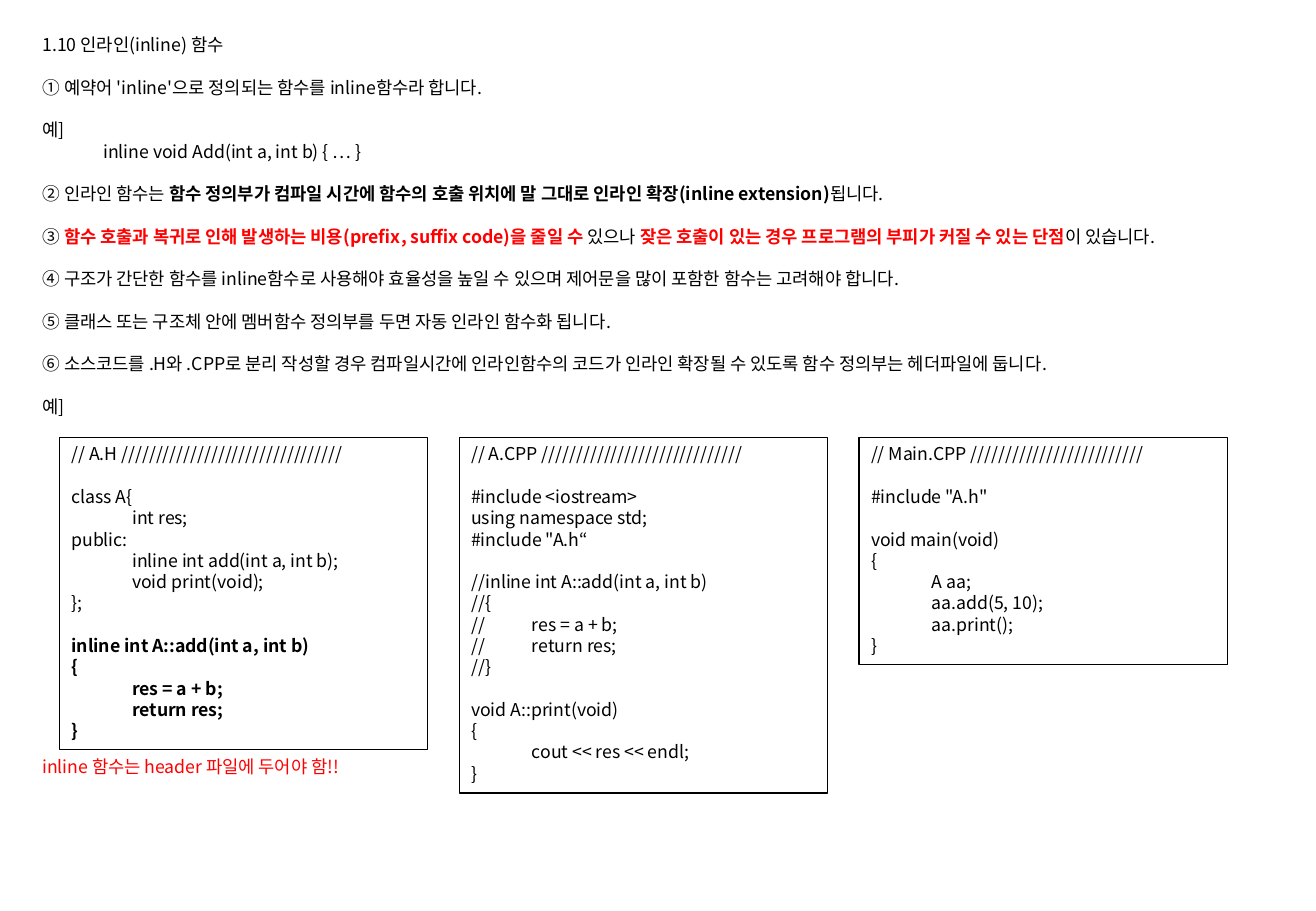
import pptx
import pptx.util
import pptx.dml.color
import pptx.enum.shapes
import pptx.enum.text
import pptx.oxml.ns
import lxml.etree

FONT = "Noto Sans CJK KR"
BLACK, RED = "000000", "FF0000"
LINE_PITCH = 12.6
PLAIN = {"bold": False, "color": BLACK}
STRONG = {"bold": True, "color": BLACK}
WARNING = {"bold": True, "color": RED}
NOTE = {"bold": False, "color": RED}

# Content: a section is a list of paragraphs, a paragraph is a string or a list of runs
TITLE = "1.10 인라인(inline) 함수"
EXPLANATION = [
    ["① 예약어 'inline'으로 정의되는 함수를 inline함수라 합니다."],
    ["예]", "\tinline void Add(int a, int b) { … }"],
    [[("② 인라인 함수는 ", PLAIN),
      ("함수 정의부가 컴파일 시간에 함수의 호출 위치에 말 그대로 인라인 확장(inline extension)", STRONG),
      ("됩니다.", PLAIN)]],
    [[("③ ", PLAIN),
      ("함수 호출과 복귀로 인해 발생하는 비용(prefix, suffix code)을 줄일 수 ", WARNING),
      ("있으나 ", PLAIN),
      ("잦은 호출이 있는 경우 프로그램의 부피가 커질 수 있는 단점", WARNING),
      ("이 있습니다.", PLAIN)]],
    ["④ 구조가 간단한 함수를 inline함수로 사용해야 효율성을 높일 수 있으며 제어문을 많이 포함한 함수는 고려해야 합니다."],
    ["⑤ 클래스 또는 구조체 안에 멤버함수 정의부를 두면 자동 인라인 함수화 됩니다."],
    ["⑥ 소스코드를 .H와 .CPP로 분리 작성할 경우 컴파일시간에 인라인함수의 코드가 인라인 확장될 수 있도록 함수 정의부는 헤더파일에 둡니다."],
    ["예]"],
]
HEADER_NOTE = "inline 함수는 header 파일에 두어야 함!!"
INLINE_ADD = ["inline int A::add(int a, int b)", "{", "\tres = a + b;", "\treturn res;", "}"]
CODE_FILES = [
    {"height": 2.57, "tab": 0.32, "sections": [
        ["// A.H " + "/" * 32],
        ["class A{", "\tint res;", "public:", "\tinline int add(int a, int b);",
         "\tvoid print(void);", "};"],
        [[(line, STRONG)] for line in INLINE_ADD]]},
    {"height": 2.93, "tab": 0.32, "sections": [
        ["// A.CPP " + "/" * 29],
        ["#include <iostream>", "using namespace std;", '#include "A.h“'],
        ["//" + line for line in INLINE_ADD],
        ["void A::print(void)", "{", "\tcout << res << endl;", "}"]]},
    {"height": 1.87, "tab": 0.23, "sections": [
        ["// Main.CPP " + "/" * 25],
        ['#include "A.h"'],
        ["void main(void)", "{", "\tA aa;", "\taa.add(5, 10);", "\taa.print();", "}"]]},
]

# Layout in inches
TEXT_LEFT, TEXT_WIDTH = 0.25, 10.33
TITLE_TOP, BODY_TOP = 0.23, 0.58
CODE_LEFT, CODE_TOP, CODE_WIDTH, CODE_STEP = 0.49, 3.6, 3.03, 3.29
NOTE_HEIGHT = 0.28


def color(value):
    return pptx.dml.color.RGBColor.from_string(value)


def set_values(target, values):
    for name, value in values.items():
        setattr(target, name, value)


def place(shape, left, top, width, height):
    box = {"left": left, "top": top, "width": width, "height": height}
    set_values(shape, {name: pptx.util.Inches(value) for name, value in box.items()})


def add_child(parent, tag, **attributes):
    return lxml.etree.SubElement(parent, pptx.oxml.ns.qn(tag), **attributes)


def add_run(paragraph, text, style):
    run = paragraph.add_run()
    run.text = text
    set_values(run.font, {"name": FONT, "size": pptx.util.Pt(10.5), "bold": style["bold"]})
    run.font.color.rgb = color(style["color"])
    add_child(run.font._element, "a:ea", typeface=FONT)


def format_paragraph(paragraph, gap, tab):
    set_values(paragraph, {
        "alignment": pptx.enum.text.PP_ALIGN.LEFT,
        "line_spacing": pptx.util.Pt(LINE_PITCH),
        "space_before": pptx.util.Pt(gap),
        "space_after": pptx.util.Pt(0),
    })
    properties = paragraph._p.get_or_add_pPr()
    properties.set("marL", "0")
    properties.set("indent", "0")
    add_child(properties, "a:buNone")
    tabs = add_child(properties, "a:tabLst")
    add_child(tabs, "a:tab", pos=str(pptx.util.Inches(tab)), algn="l")


def write_sections(shape, sections, tab=0.32):
    """Write the sections with one line of space between them."""
    frame = shape.text_frame
    set_values(frame, {
        "word_wrap": True,
        "auto_size": pptx.enum.text.MSO_AUTO_SIZE.NONE,
        "vertical_anchor": pptx.enum.text.MSO_ANCHOR.TOP,
        "margin_left": pptx.util.Inches(0.1),
        "margin_right": pptx.util.Inches(0.1),
        "margin_top": pptx.util.Inches(0.05),
        "margin_bottom": pptx.util.Inches(0.05),
    })
    paragraph = None
    for section_index, section in enumerate(sections):
        for line_index, content in enumerate(section):
            paragraph = frame.add_paragraph() if paragraph else frame.paragraphs[0]
            starts_section = section_index > 0 and line_index == 0
            format_paragraph(paragraph, LINE_PITCH if starts_section else 0, tab)
            runs = [(content, PLAIN)] if isinstance(content, str) else content
            for text, style in runs:
                add_run(paragraph, text, style)


presentation = pptx.Presentation()
presentation.slide_width = pptx.util.Inches(10.83)
presentation.slide_height = pptx.util.Inches(7.5)
slide = presentation.slides.add_slide(presentation.slide_layouts[1])

# Title and explanation
title, body = slide.shapes.title, slide.placeholders[1]
place(title, TEXT_LEFT, TITLE_TOP, TEXT_WIDTH, BODY_TOP - TITLE_TOP)
write_sections(title, [[TITLE]])
place(body, TEXT_LEFT, BODY_TOP, TEXT_WIDTH, CODE_TOP - BODY_TOP)
write_sections(body, EXPLANATION)

# Code boxes, one per source file
for index, code_file in enumerate(CODE_FILES):
    code_box = slide.shapes.add_shape(pptx.enum.shapes.MSO_SHAPE.RECTANGLE, 0, 0, 0, 0)
    place(code_box, CODE_LEFT + index * CODE_STEP, CODE_TOP, CODE_WIDTH, code_file["height"])
    code_box.shadow.inherit = False
    code_box.fill.background()
    code_box.line.color.rgb = color(BLACK)
    code_box.line.width = pptx.util.Pt(0.75)
    write_sections(code_box, code_file["sections"], code_file["tab"])

# Note under the header file
note = slide.shapes.add_textbox(0, 0, 0, 0)
place(note, TEXT_LEFT, CODE_TOP + CODE_FILES[0]["height"], CODE_WIDTH, NOTE_HEIGHT)
write_sections(note, [[[(HEADER_NOTE, NOTE)]]])

presentation.save("out.pptx")
